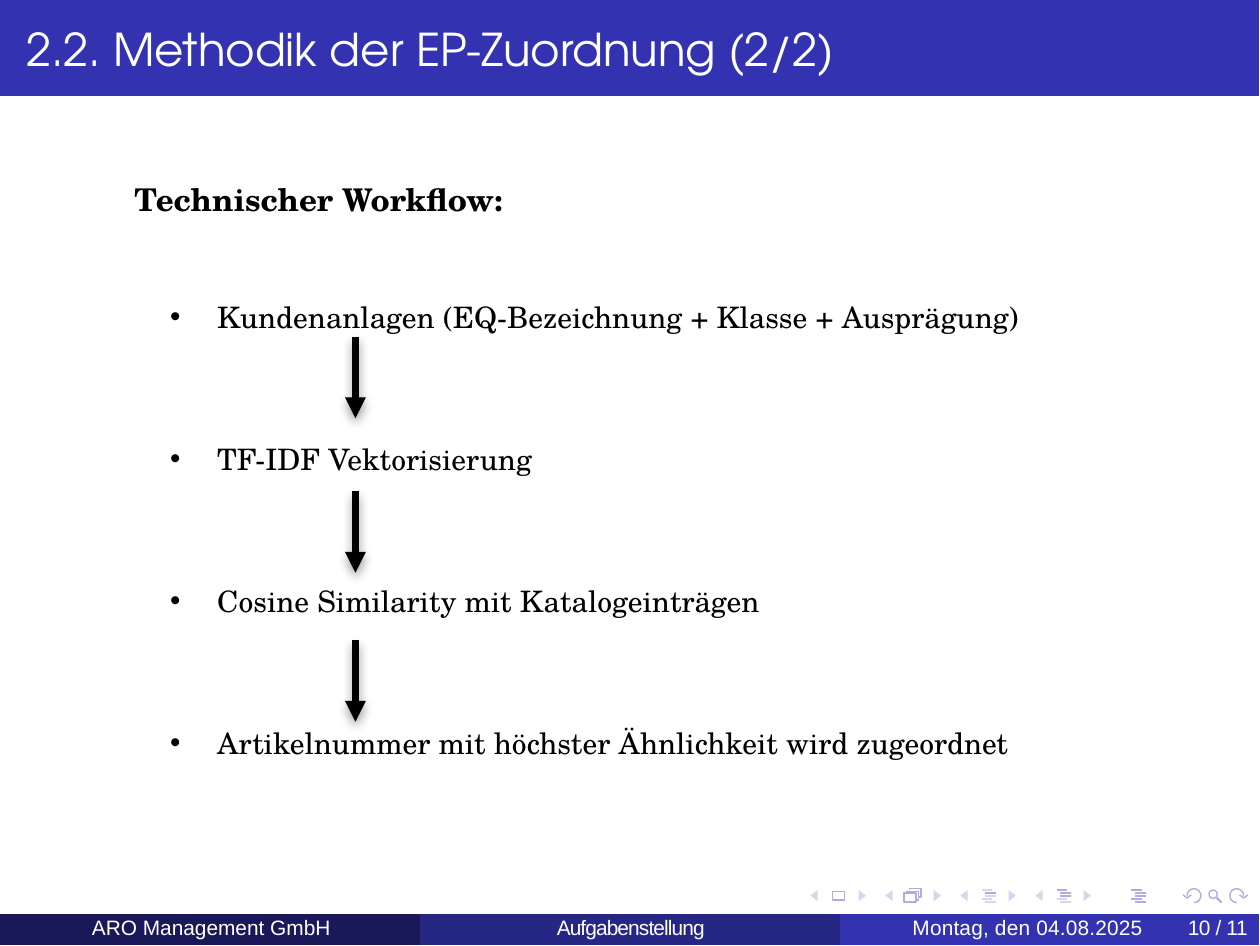
from math import cos, radians, sin

from lxml.etree import SubElement
from pptx import Presentation
from pptx.dml.color import RGBColor
from pptx.enum.shapes import MSO_CONNECTOR
from pptx.enum.text import MSO_ANCHOR, MSO_AUTO_SIZE, PP_ALIGN
from pptx.oxml.ns import qn
from pptx.util import Pt

COLORS = {
    "white": "FFFFFF",
    "black": "000000",
    "navy": "191959",
    "indigo": "262685",
    "blue": "3333B2",
    "icon": "ADADE0",
    "faint": "D6D6EF",
}
SLIDE_WIDTH, SLIDE_HEIGHT = 363, 272.5
BAND_WIDTH = 362.83
HEADING_HEIGHT = 27.6
FOOTER_TOP, FOOTER_HEIGHT = 263.4, 8.73
ICON_PITCH = 21.6


def color(name):
    return RGBColor.from_string(COLORS[name])


def write(frame, lines, size, font, ink="black", bold=False, align=PP_ALIGN.JUSTIFY,
          insets=(7.2, 3.6, 7.2, 3.6), leading=None, gap=0, hang=0, tracking=0):
    frame.word_wrap = True
    frame.auto_size = MSO_AUTO_SIZE.NONE
    frame.vertical_anchor = MSO_ANCHOR.TOP
    (frame.margin_left, frame.margin_top,
     frame.margin_right, frame.margin_bottom) = map(Pt, insets)
    for index, line in enumerate(lines):
        para = frame.add_paragraph() if index else frame.paragraphs[0]
        para.alignment = align
        para.space_after = Pt(gap)
        if leading:
            para.line_spacing = Pt(leading)
        if hang:
            properties = para._p.get_or_add_pPr()
            properties.set("marL", str(Pt(hang)))
            properties.set("indent", str(-Pt(hang)))
            SubElement(properties, qn("a:buFont")).set("typeface", "Arial")
            SubElement(properties, qn("a:buChar")).set("char", "•")
        span = para.add_run()
        span.text = line
        span.font.size = Pt(size)
        span.font.name = font
        span.font.bold = bold
        span.font.color.rgb = color(ink)
        if tracking:
            span.font._element.set("spc", str(round(tracking * 100)))


class SlideBuilder:
    def __init__(self, slide):
        self.slide = slide
        self.shapes = slide.shapes
        self.heading_font = "TeX Gyre Adventor"
        self.body_font = "TeX Gyre Schola"
        self.footer_font = "Arial"

    def title(self, text):
        box = self.shapes.title
        box.left, box.top, box.width, box.height = map(Pt, (7.5, 4.8, 294, 17.3))
        write(box.text_frame, [text], 13, self.heading_font, ink="white",
              insets=(0, 1.4, 0, 0))

    def text(self, place, lines, **style):
        box = self.shapes.add_textbox(*map(Pt, place))
        write(box.text_frame, lines, **style)

    def footer(self, left, width, text, **style):
        self.text((left, 264, width, 7.2), [text], size=6, font=self.footer_font,
                  ink="white", insets=(0, 0, 0, 0), leading=6.8, **style)

    def outline(self, points, fill=None, line=None, close=True):
        start, *rest = [(Pt(x), Pt(y)) for x, y in points]
        builder = self.shapes.build_freeform(*start)
        builder.add_line_segments(rest, close=close)
        shape = builder.convert_to_shape()
        shape.shadow.inherit = False
        if fill:
            shape.fill.solid()
            shape.fill.fore_color.rgb = color(fill)
        else:
            shape.fill.background()
        if line:
            shape.line.color.rgb = color(line)
            shape.line.width = Pt(0.4)
        else:
            shape.line.fill.background()
        return shape

    def band(self, left, top, width, height, fill):
        right, bottom = left + width, top + height
        return self.outline(
            [(left, top), (right, top), (right, bottom), (left, bottom)], fill=fill)

    def line(self, x1, y1, x2, y2, ink, width):
        stroke = self.shapes.add_connector(
            MSO_CONNECTOR.STRAIGHT, Pt(x1), Pt(y1), Pt(x2), Pt(y2))
        stroke.line.color.rgb = color(ink)
        stroke.line.width = Pt(width)
        effects = SubElement(stroke._element.spPr, qn("a:effectLst"))
        return stroke, effects

    def arrow(self, x, top, bottom):
        stroke, effects = self.line(x, top, x, bottom, "black", 2)
        SubElement(stroke.line._get_or_add_ln(), qn("a:tailEnd")).set("type", "triangle")
        shadow = SubElement(effects, qn("a:outerShdw"), blurRad=str(Pt(3.1)),
                            dist=str(Pt(1.6)), dir="5400000", rotWithShape="0")
        tint = SubElement(shadow, qn("a:srgbClr"), val=COLORS["black"])
        SubElement(tint, qn("a:alpha"), val="38000")

    def arc(self, x, y, radius, start, sweep, mirror=1, close=False):
        angles = [radians(start - sweep * step / 12) for step in range(13)]
        points = [(x + mirror * radius * cos(a), y + radius * sin(a)) for a in angles]
        self.outline(points, line="icon", close=close)

    def navigation(self):
        for group in range(4):
            shift = group * ICON_PITCH
            for tip, base in ((233.5, 235.6), (249.5, 247.4)):
                self.outline([(base + shift, 256.4), (tip + shift, 258),
                              (base + shift, 259.6)], fill="faint")
        frame = [(239.8, 259.3), (243.3, 259.3), (243.3, 256.8), (239.8, 256.8)]
        self.outline(frame, line="icon")
        self.outline([(x + 20.6, y + 0.5) for x, y in frame], line="icon")
        for step in (0, 0.8):
            corner = [(261.2, 257.3), (261.2, 256.8), (264.6, 256.8),
                      (264.6, 259.2), (263.9, 259.2)]
            self.outline([(x + step, y - step) for x, y in corner],
                         line="icon", close=False)
        for group, dark_rows in enumerate(((1,), (0, 1, 2), range(5))):
            for row, indent in enumerate((0, 1, 1, 0, 1)):
                left = 282.8 + group * ICON_PITCH + indent
                y = 256.3 + row * 0.9
                self.line(left, y, left + 3.1, y,
                          "icon" if row in dark_rows else "faint", 0.6)
        for x, mirror in ((344, 1), (356.3, -1)):
            self.arc(x, 258, 2, 90, 270, mirror)
            self.outline([(x - mirror * dx, y) for dx, y in
                          ((0.8, 257.8), (2, 258.7), (3.2, 257.8))],
                         line="icon", close=False)
        self.arc(349.5, 257.6, 1.2, 0, 360, close=True)
        self.line(350.5, 258.6, 351.9, 260, "icon", 0.6)


def main():
    deck = Presentation()
    deck.slide_width, deck.slide_height = Pt(SLIDE_WIDTH), Pt(SLIDE_HEIGHT)
    page = SlideBuilder(deck.slides.add_slide(deck.slide_layouts[5]))

    page.title("2.2. Methodik der EP-Zuordnung (2/2)")
    heading = page.band(0, 0, BAND_WIDTH, HEADING_HEIGHT, "blue")
    page.shapes.title._element.addprevious(heading._element)
    page.navigation()

    third = BAND_WIDTH / 3
    for index, fill in enumerate(("navy", "indigo", "blue")):
        page.band(index * third, FOOTER_TOP, third, FOOTER_HEIGHT, fill)
    page.footer(10.1, 101.5, "ARO Management GmbH", align=PP_ALIGN.CENTER)
    page.footer(258, 76, "Montag, den 04.08.2025", align=PP_ALIGN.CENTER, tracking=0.05)
    page.footer(342.2, 20.6, "10 / 11", align=PP_ALIGN.LEFT, tracking=-0.1)
    page.footer(137.2, 89, "Aufgabenstellung", align=PP_ALIGN.CENTER, tracking=-0.25)

    page.text((31.6, 48.4, 306, 18), ["Technischer Workflow:"],
              size=9, font=page.body_font, bold=True)
    steps = [
        "Kundenanlagen (EQ-Bezeichnung + Klasse + Ausprägung)",
        "TF-IDF Vektorisierung",
        "Cosine Similarity mit Katalogeinträgen",
        "Artikelnummer mit höchster Ähnlichkeit wird zugeordnet",
    ]
    page.text((41.9, 82.5, 306, 141), steps,
              size=8.5, font=page.body_font, gap=30.7, hang=13.6)
    for top in (97, 141.5, 184.4):
        page.arrow(102.4, top, top + 23.5)

    deck.save("out.pptx")


if __name__ == "__main__":
    main()
